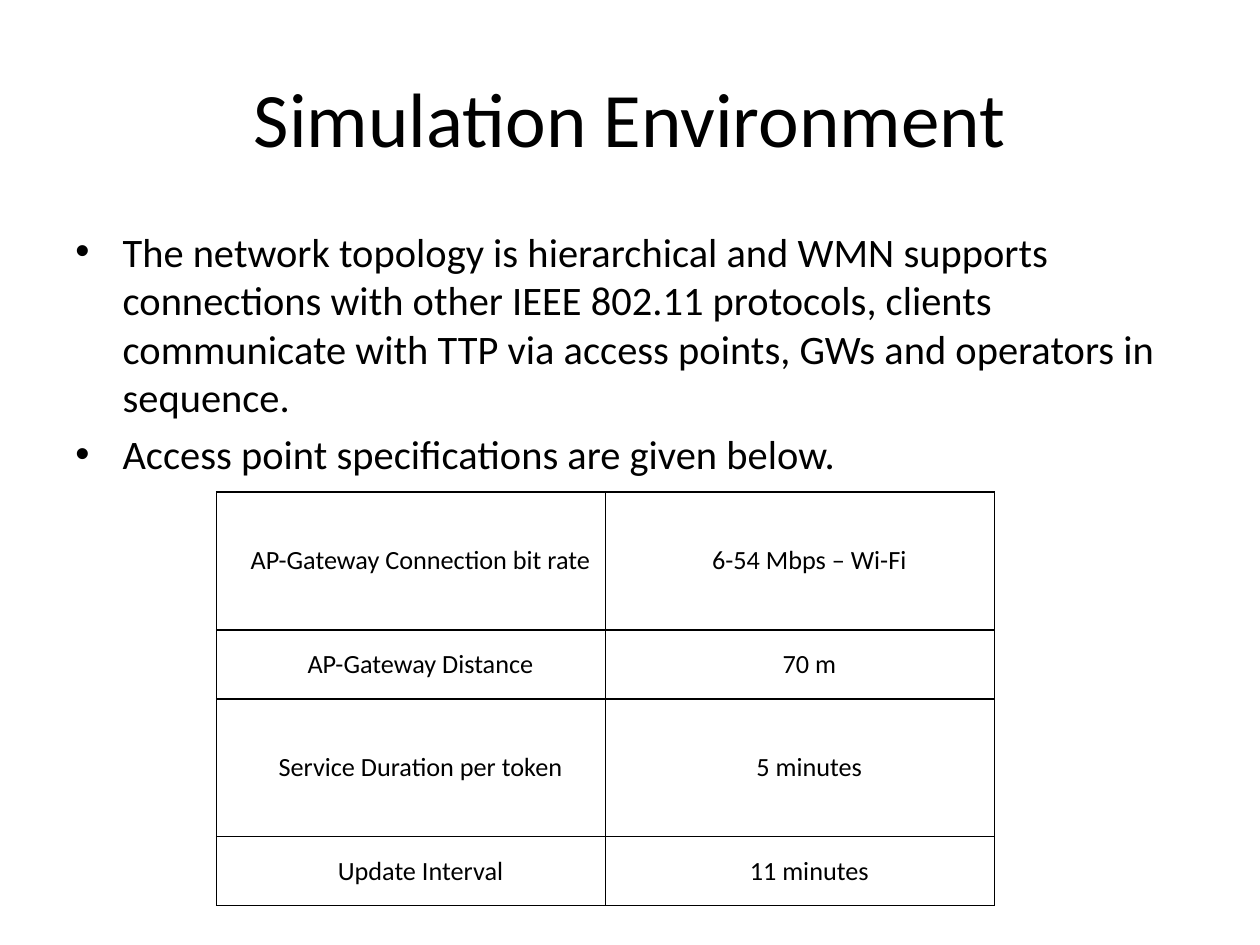
from lxml.etree import SubElement
from pptx import Presentation
from pptx.dml.color import RGBColor
from pptx.enum.text import MSO_ANCHOR as Anchor, MSO_AUTO_SIZE as AutoSize, PP_ALIGN as Align
from pptx.oxml.ns import qn
from pptx.util import Pt

COLORS = {"text": "000000", "border": "000000"}
FONT = "Calibri"
TITLE_ONLY = 5

BULLETS = [
    "The network topology is hierarchical and WMN supports connections with other "
    "IEEE 802.11 protocols, clients communicate with TTP via access points, GWs and "
    "operators in sequence.",
    "Access point specifications are given below.",
]
SPECIFICATIONS = [
    ("AP-Gateway Connection bit rate", "6-54 Mbps – Wi-Fi"),
    ("AP-Gateway Distance", "70 m"),
    ("Service Duration per token", "5 minutes"),
    ("Update Interval", "11 minutes"),
]
ROW_HEIGHTS = [78.8, 39.4] * 2
COLUMN_WIDTH = 222.2


def format_runs(para, size):
    for span in para.runs:
        span.font.name = FONT
        span.font.size = Pt(size)
        span.font.color.rgb = RGBColor.from_string(COLORS["text"])


def set_title(page, text):
    title = page.shapes.title
    title.left, title.top, title.width, title.height = Pt(36), Pt(21.6), Pt(648), Pt(90)
    frame = title.text_frame
    frame.text = text
    frame.vertical_anchor = Anchor.MIDDLE
    para = frame.paragraphs[0]
    para.alignment = Align.CENTER
    format_runs(para, 44)


def add_bullets(page, texts):
    box = page.shapes.add_textbox(Pt(36), Pt(126), Pt(648), Pt(138))
    frame = box.text_frame
    frame.word_wrap = True
    frame.auto_size = AutoSize.NONE
    frame.text = "\n".join(texts)
    for para in frame.paragraphs:
        para.space_before = Pt(4.6)
        format_runs(para, 23.1)
        properties = para._p.get_or_add_pPr()
        properties.set("marL", str(Pt(27)))
        properties.set("indent", str(Pt(-27)))
        SubElement(properties, qn("a:buFont"), typeface="Arial")
        SubElement(properties, qn("a:buChar"), char="•")


def add_borders(cell):
    properties = cell._tc.get_or_add_tcPr()
    for side in ("lnL", "lnR", "lnT", "lnB"):
        line = SubElement(properties, qn(f"a:{side}"), w=str(Pt(1)))
        fill = SubElement(line, qn("a:solidFill"))
        SubElement(fill, qn("a:srgbClr"), val=COLORS["border"])


def fill_cell(cell, text):
    add_borders(cell)
    cell.fill.background()
    cell.vertical_anchor = Anchor.MIDDLE
    cell.margin_left = cell.margin_right = Pt(5)
    cell.margin_top = cell.margin_bottom = 0
    cell.text = text
    para = cell.text_frame.paragraphs[0]
    para.alignment = Align.CENTER
    para.space_before, para.space_after = Pt(6), Pt(12)
    para._p.get_or_add_pPr().set("indent", str(Pt(10.8)))
    format_runs(para, 15)


def add_specification_table(page, rows):
    frame = page.shapes.add_table(
        len(rows), 2, Pt(123.8), Pt(281.2), Pt(2 * COLUMN_WIDTH), Pt(sum(ROW_HEIGHTS))
    )
    table = frame.table
    table.first_row = table.horz_banding = False
    for column in table.columns:
        column.width = Pt(COLUMN_WIDTH)
    for row, height, texts in zip(table.rows, ROW_HEIGHTS, rows):
        row.height = Pt(height)
        for cell, text in zip(row.cells, texts):
            fill_cell(cell, text)


def main():
    deck = Presentation()
    deck.slide_width, deck.slide_height = Pt(720), Pt(540)
    page = deck.slides.add_slide(deck.slide_layouts[TITLE_ONLY])
    set_title(page, "Simulation Environment")
    add_bullets(page, BULLETS)
    add_specification_table(page, SPECIFICATIONS)
    deck.save("out.pptx")


if __name__ == "__main__":
    main()
